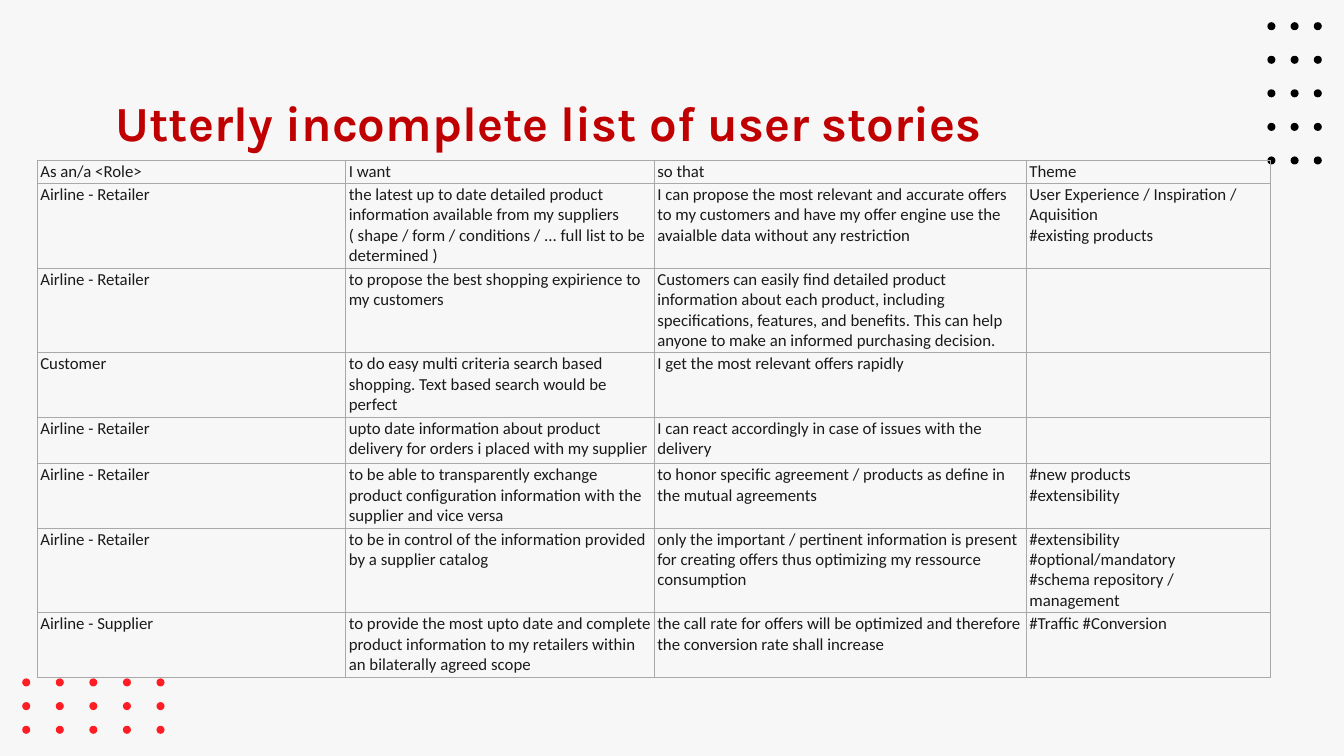
"""Build the user stories slide."""
from lxml.etree import SubElement
from pptx import Presentation
from pptx.dml.color import RGBColor
from pptx.enum.shapes import MSO_SHAPE as Shape
from pptx.enum.text import MSO_ANCHOR as Anchor
from pptx.oxml.ns import qn
from pptx.util import Inches, Pt

TITLE = "Utterly incomplete list of user stories"
STORIES = [
    ("As an/a <Role>", "I want", "so that", "Theme"),
    ("Airline - Retailer",
     "the latest up to date detailed product information available from my suppliers\n"
     "( shape / form / conditions / ... full list to be determined )",
     "I can propose the most relevant and accurate offers to my customers and have "
     "my offer engine use the avaialble data without any restriction",
     "User Experience / Inspiration / Aquisition\n#existing products"),
    ("Airline - Retailer",
     "to propose the best shopping expirience to my customers",
     "Customers can easily find detailed product information about each product, "
     "including specifications, features, and benefits. This can help anyone to "
     "make an informed purchasing decision.",
     ""),
    ("Customer",
     "to do easy multi criteria search based shopping. Text based search would be perfect",
     "I get the most relevant offers rapidly",
     ""),
    ("Airline - Retailer",
     "upto date information about product delivery for orders i placed with my supplier",
     "I can react accordingly in case of issues with the delivery",
     ""),
    ("Airline - Retailer",
     "to be able to transparently exchange product configuration information with "
     "the supplier and vice versa",
     "to honor specific agreement / products as define in the mutual agreements",
     "#new products\n#extensibility"),
    ("Airline - Retailer",
     "to be in control of the information provided by a supplier catalog",
     "only the important / pertinent information is present for creating offers thus "
     "optimizing my ressource consumption",
     "#extensibility\n#optional/mandatory\n#schema repository / management"),
    ("Airline - Supplier",
     "to provide the most upto date and complete product information to my retailers "
     "within an bilaterally agreed scope",
     "the call rate for offers will be optimized and therefore the conversion rate "
     "shall increase",
     "#Traffic #Conversion"),
]
WIDTHS = (3.06, 3.06, 3.69, 2.42)
HEIGHTS = (0.23, 0.84, 0.84, 0.64, 0.46, 0.64, 0.84, 0.64)

PAPER = RGBColor(0xF7, 0xF7, 0xF7)
BLACK = RGBColor(0x00, 0x00, 0x00)
BRIGHT = RGBColor(0xFF, 0x1D, 0x25)
CRIMSON = RGBColor(0xC0, 0x00, 0x00)
INK = RGBColor(0x1A, 0x1A, 0x1A)
GRAY = RGBColor(0xA9, 0xA9, 0xA9)

DOTS = [
    (12.57, 0.22, 3, 5, 0.23, 0.333, BLACK),
    (0.22, 6.73, 5, 3, 0.333, 0.235, BRIGHT),
]
DOT = 0.08


def draw_dots(slide, left, top, cols, rows, dx, dy, color):
    for i in range(cols * rows):
        row, col = divmod(i, cols)
        dot = slide.shapes.add_shape(
            Shape.OVAL, Inches(left + col * dx), Inches(top + row * dy),
            Inches(DOT), Inches(DOT))
        dot.shadow.inherit = False
        dot.fill.solid()
        dot.fill.fore_color.rgb = color
        dot.line.fill.background()


def style(frame, face, size, color, bold=False):
    for para in frame.paragraphs:
        for font in [para.font] + [run.font for run in para.runs]:
            font.name, font.size, font.bold = face, Pt(size), bold
            font.color.rgb = color


def add_title(slide):
    box = slide.shapes.add_textbox(
        Inches(1.05), Inches(0.79), Inches(11.23), Inches(0.84))
    frame = box.text_frame
    frame.word_wrap = True
    frame.vertical_anchor = Anchor.MIDDLE
    frame.margin_left = frame.margin_right = Inches(0.1)
    frame.margin_top = frame.margin_bottom = Inches(0.1)
    frame.text = TITLE
    style(frame, "Karla", 35, CRIMSON, True)


def add_edges(cell):
    props = cell._tc.get_or_add_tcPr()
    for i, side in enumerate(("lnL", "lnR", "lnT", "lnB")):
        edge = props.makeelement(qn(f"a:{side}"), {"w": str(Pt(0.75))})
        fill = SubElement(edge, qn("a:solidFill"))
        SubElement(fill, qn("a:srgbClr"), val=str(GRAY))
        props.insert(i, edge)


def add_stories(slide):
    table = slide.shapes.add_table(
        len(STORIES), len(WIDTHS), Inches(0.37), Inches(1.59),
        Inches(sum(WIDTHS)), Inches(sum(HEIGHTS))).table
    table.first_row = table.horz_banding = False
    for col, width in zip(table.columns, WIDTHS):
        col.width = Inches(width)
    for row, height, story in zip(table.rows, HEIGHTS, STORIES):
        row.height = Inches(height)
        for cell, text in zip(row.cells, story):
            cell.margin_left = cell.margin_right = Inches(0.03)
            cell.margin_top = cell.margin_bottom = Inches(0.01)
            cell.fill.background()
            add_edges(cell)
            cell.text_frame.text = text
            style(cell.text_frame, "Calibri", 12, INK)


def main():
    deck = Presentation()
    deck.slide_width, deck.slide_height = Inches(13.33), Inches(7.5)
    slide = deck.slides.add_slide(deck.slide_layouts[6])
    slide.background.fill.solid()
    slide.background.fill.fore_color.rgb = PAPER
    for grid in DOTS:
        draw_dots(slide, *grid)
    add_title(slide)
    add_stories(slide)
    deck.save("out.pptx")


if __name__ == "__main__":
    main()
